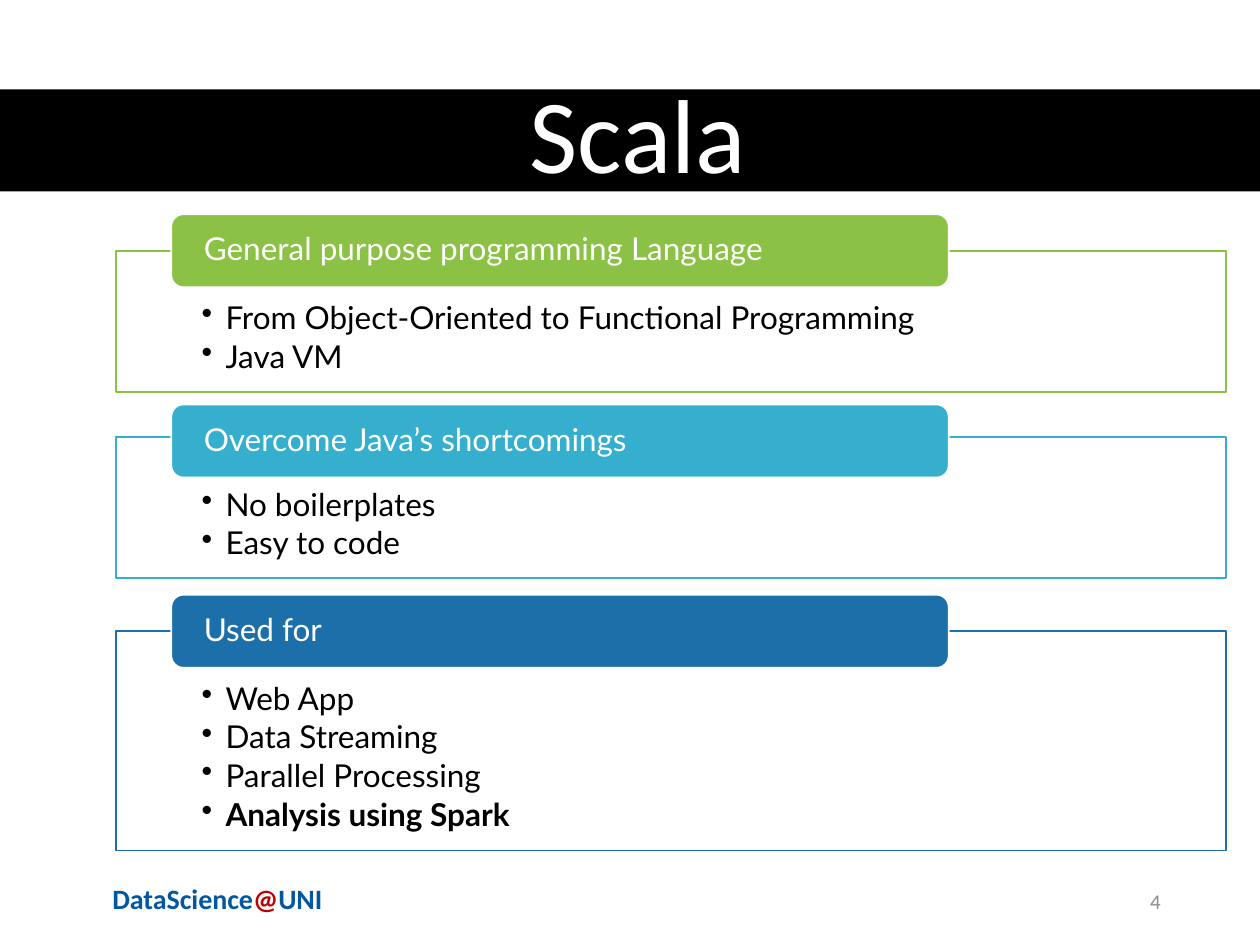
from lxml.etree import SubElement
from pptx import Presentation
from pptx.dml.color import RGBColor
from pptx.enum.shapes import MSO_SHAPE
from pptx.enum.text import MSO_ANCHOR, PP_ALIGN
from pptx.oxml.ns import qn
from pptx.util import Inches, Pt

HUES = {
    "black": "000000", "white": "FFFFFF", "gray": "8C8C8C",
    "navy": "0257A1", "red": "C00000",
    "green": "8BC145", "cyan": "36AFCE", "blue": "1D6FA9",
}

TOPICS = [
    ("green", 1.7, 1.99, 1.12, "General purpose programming Language",
     ["From Object-Oriented to Functional Programming", "Java VM"]),
    ("cyan", 3.21, 3.47, 1.12, "Overcome Java’s shortcomings",
     ["No boilerplates", "Easy to code"]),
    ("blue", 4.72, 5.01, 1.74, "Used for",
     ["Web App", "Data Streaming", "Parallel Processing",
      "Analysis using Spark"]),
]
STRONG = {"Analysis using Spark"}


def tint(hue):
    return RGBColor.from_string(HUES[hue])


def apply(item, form):
    for key, value in form.items():
        setattr(item, key, value)


def add_box(slide, kind, area, fill, line=None):
    box = slide.shapes.add_shape(kind, *map(Inches, area))
    box.shadow.inherit = False
    box.fill.solid()
    box.fill.fore_color.rgb = tint(fill)
    if line:
        box.line.color.rgb = tint(line)
        box.line.width = Pt(1)
    else:
        box.line.fill.background()
    return box


def add_run(para, text, hue, **form):
    run = para.add_run()
    run.text = text
    run.font.color.rgb = tint(hue)
    apply(run.font, form)


def add_label(slide, area, parts, para, frame, **form):
    box = slide.shapes.add_textbox(*map(Inches, area))
    apply(box.text_frame, {"word_wrap": True, **frame})
    line = box.text_frame.paragraphs[0]
    apply(line, para)
    for text, hue in parts:
        add_run(line, text, hue, **form)


def add_bullet(para):
    props = para._p.get_or_add_pPr()
    props.set("marL", str(Inches(0.19)))
    props.set("indent", str(-Inches(0.19)))
    SubElement(props, qn("a:buChar"), char="•")


def add_panel(slide, hue, top, height, items):
    box = add_box(slide, MSO_SHAPE.RECTANGLE, (0.92, top, 8.81, height),
                  "white", hue)
    color = box.fill._xPr.find(qn("a:solidFill"))[0]
    SubElement(color, qn("a:alpha"), val="90000")
    frame = box.text_frame
    apply(frame, {
        "margin_left": Inches(0.68), "margin_right": Inches(0.68),
        "margin_top": Inches(0.41), "margin_bottom": Inches(0.14),
        "vertical_anchor": MSO_ANCHOR.TOP, "word_wrap": True,
    })
    for num, item in enumerate(items):
        para = frame.add_paragraph() if num else frame.paragraphs[0]
        apply(para, {"alignment": PP_ALIGN.LEFT, "line_spacing": 0.9,
                     "space_after": Pt(2.7)})
        add_bullet(para)
        add_run(para, item, "black", name="Lato", size=Pt(18),
                bold=item in STRONG)


def add_head(slide, hue, top, text):
    box = add_box(slide, MSO_SHAPE.ROUNDED_RECTANGLE,
                  (1.36, top, 6.17, 0.58), hue, "white")
    apply(box.text_frame, {
        "margin_left": Inches(0.23), "margin_right": Inches(0.23),
        "margin_top": 0, "margin_bottom": 0,
        "vertical_anchor": MSO_ANCHOR.MIDDLE, "word_wrap": True,
    })
    para = box.text_frame.paragraphs[0]
    apply(para, {"alignment": PP_ALIGN.LEFT, "line_spacing": 0.9})
    add_run(para, text, "white", name="Lato", size=Pt(18))


def main():
    deck = Presentation()
    apply(deck, {"slide_width": Inches(10), "slide_height": Inches(7.5)})
    slide = deck.slides.add_slide(deck.slide_layouts[6])
    middle = {"vertical_anchor": MSO_ANCHOR.MIDDLE}

    add_label(slide, (0.69, 6.95, 2.07, 0.53),
              [("DataScience", "navy"), ("@", "red"), ("UNI", "navy")],
              {"alignment": PP_ALIGN.CENTER}, {},
              name="Calibri", size=Pt(16), bold=True)
    add_box(slide, MSO_SHAPE.RECTANGLE, (0, 0.71, 10, 0.81), "black")
    add_label(slide, (0.46, 0.7, 9.2, 0.81), [("Scala", "white")],
              {"alignment": PP_ALIGN.CENTER, "line_spacing": 0.9}, middle,
              name="Calibri", size=Pt(60))
    add_label(slide, (7.06, 6.95, 2.25, 0.4), [("4", "gray")],
              {"alignment": PP_ALIGN.RIGHT}, middle,
              name="Calibri", size=Pt(12))
    for hue, top, edge, height, head, items in TOPICS:
        add_panel(slide, hue, edge, height, items)
        add_head(slide, hue, top, head)
    deck.save("out.pptx")


if __name__ == "__main__":
    main()
